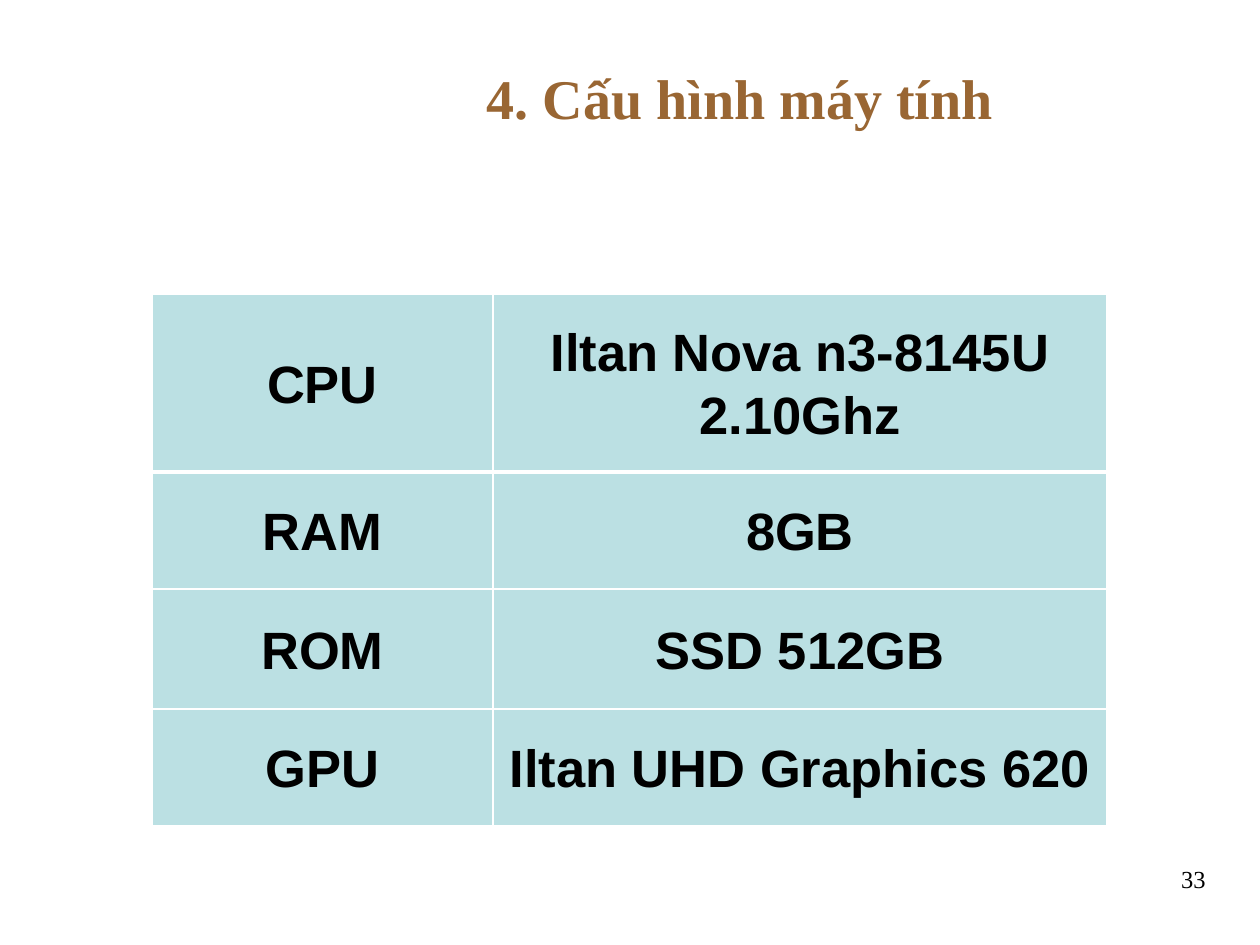
"""Builds the computer configuration slide with its table of parts."""
from lxml import etree
from pptx import Presentation, util as u
from pptx.dml.color import RGBColor
from pptx.enum import text as t
from pptx.oxml.ns import qn

TITLE = "4. Cấu hình máy tính"
PAGE = "33"
PARTS = [
    ("CPU", "Iltan Nova n3-8145U 2.10Ghz"),
    ("RAM", "8GB"),
    ("ROM", "SSD 512GB"),
    ("GPU", "Iltan UHD Graphics 620"),
]
COLS = [341, 614]
ROWS = [178, 117, 120, 117]
THEME = {
    "title": ("Times New Roman", 32, "996633", True),
    "page": ("Times New Roman", 14, "000000", False),
    "cell": ("Arial", 30, "000000", True),
    "fill": "BBE0E3",
    "line": "FFFFFF",
}


def px(num):
    return u.Emu(round(num * 914400 / 126))


def style(para, kind, align):
    para.alignment = align
    for run in para.runs:
        font = run.font
        font.name, size, color, font.bold = THEME[kind]
        font.size = u.Pt(size)
        font.color.rgb = RGBColor.from_string(color)


def label(slide, words, box, kind, align, anchor):
    frame = slide.shapes.add_textbox(*map(px, box)).text_frame
    frame.word_wrap = True
    frame.vertical_anchor = anchor
    frame.text = words
    style(frame.paragraphs[0], kind, align)


def border(cell, widths):
    props = cell._tc.get_or_add_tcPr()
    for spot, (side, width) in enumerate(widths.items()):
        line = etree.Element(qn("a:ln" + side), w=str(u.Pt(width)))
        fill = etree.SubElement(line, qn("a:solidFill"))
        etree.SubElement(fill, qn("a:srgbClr"), val=THEME["line"])
        props.insert(spot, line)


def fill_cell(cell, words, row):
    cell.text = words
    cell.vertical_anchor = t.MSO_ANCHOR.MIDDLE
    cell.margin_left = cell.margin_right = px(9)
    cell.margin_top = cell.margin_bottom = 0
    cell.fill.solid()
    cell.fill.fore_color.rgb = RGBColor.from_string(THEME["fill"])
    para = cell.text_frame.paragraphs[0]
    para.line_spacing = 1.07
    para.space_before, para.space_after = u.Pt(6), u.Pt(12)
    style(para, "cell", t.PP_ALIGN.CENTER)
    border(cell, {"L": 1, "R": 1, "T": 3 if row == 1 else 1, "B": 3 if row == 0 else 1})


def add_parts(slide):
    box = (152, 294, sum(COLS), sum(ROWS))
    table = slide.shapes.add_table(len(ROWS), len(COLS), *map(px, box)).table
    for col, width in zip(table.columns, COLS):
        col.width = px(width)
    for row, height in zip(table.rows, ROWS):
        row.height = px(height)
    for row, part in enumerate(PARTS):
        for col, words in enumerate(part):
            fill_cell(table.cell(row, col), words, row)


def main():
    deck = Presentation()
    deck.slide_width, deck.slide_height = px(1260), px(945)
    slide = deck.slides.add_slide(deck.slide_layouts[6])
    label(slide, TITLE, (252, 32, 976, 130), "title", t.PP_ALIGN.CENTER, t.MSO_ANCHOR.MIDDLE)
    label(slide, PAGE, (924, 858, 294, 77), "page", t.PP_ALIGN.RIGHT, t.MSO_ANCHOR.TOP)
    add_parts(slide)
    deck.save("out.pptx")


if __name__ == "__main__":
    main()
